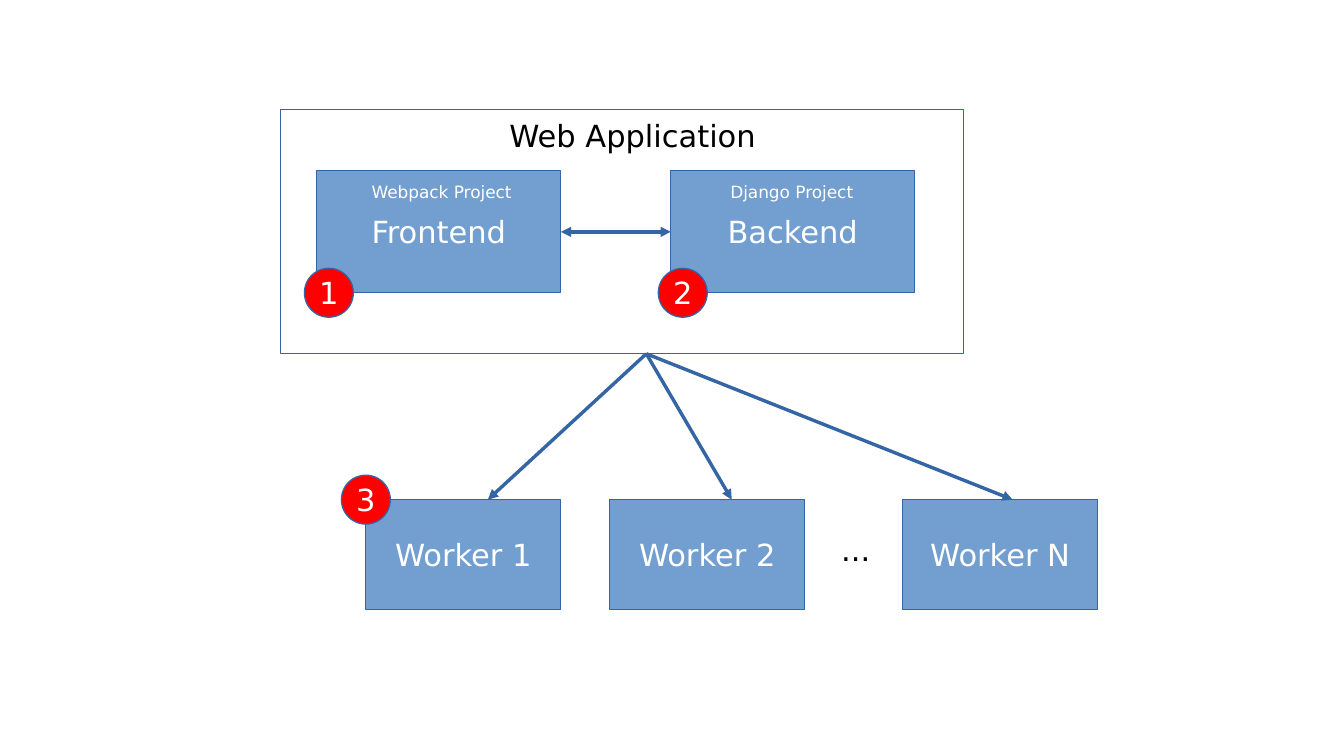
import pptx
import pptx.util
import pptx.dml.color
import pptx.enum.shapes
import pptx.enum.text
import pptx.oxml.ns
from lxml import etree

Cm = pptx.util.Cm
Pt = pptx.util.Pt
Shape = pptx.enum.shapes.MSO_SHAPE
Anchor = pptx.enum.text.MSO_ANCHOR
Align = pptx.enum.text.PP_ALIGN
AutoSize = pptx.enum.text.MSO_AUTO_SIZE

COLORS = {
    "paper": "FFFFFF",
    "box": "729FCF",
    "outline": "3465A4",
    "badge": "FF0000",
    "ink": "000000",
}
FONT = "DejaVu Sans"
BADGE_SIZE = 1.02


def color(name):
    return pptx.dml.color.RGBColor.from_string(COLORS[name])


def write(frame, words, size, ink, align):
    paragraph = frame.paragraphs[0]
    paragraph.alignment = align
    run = paragraph.add_run()
    run.text = words
    run.font.size = Pt(size)
    run.font.name = FONT
    run.font.color.rgb = color(ink)


def add_figure(slide, kind, box, fill, words=""):
    figure = slide.shapes.add_shape(kind, *map(Cm, box))
    figure.shadow.inherit = False
    figure.fill.solid()
    figure.fill.fore_color.rgb = color(fill)
    figure.line.color.rgb = color("outline")
    figure.line.width = Pt(0)
    if words:
        figure.text_frame.word_wrap = False
        figure.text_frame.vertical_anchor = Anchor.MIDDLE
        write(figure.text_frame, words, 18, "paper", Align.CENTER)


def add_label(slide, box, words, size, ink, wrap=False):
    frame = slide.shapes.add_textbox(*map(Cm, box)).text_frame
    frame.word_wrap = wrap
    frame.auto_size = AutoSize.SHAPE_TO_FIT_TEXT
    write(frame, words, size, ink, Align.LEFT)


def add_badge(slide, center_x, center_y, number):
    half = BADGE_SIZE / 2
    box = (center_x - half, center_y - half, BADGE_SIZE, BADGE_SIZE)
    add_figure(slide, Shape.OVAL, box, "badge", number)


def add_arrow(slide, start, end, ends=("tailEnd",)):
    arrow = slide.shapes.add_connector(
        pptx.enum.shapes.MSO_CONNECTOR.STRAIGHT, *map(Cm, start + end))
    arrow.line.color.rgb = color("outline")
    arrow.line.width = Pt(0)
    qn = pptx.oxml.ns.qn
    line = arrow.line._get_or_add_ln()
    for tag in ends:
        etree.SubElement(line, qn("a:" + tag), type="triangle")
    etree.SubElement(arrow._element.spPr, qn("a:effectLst"))


def draw_web_application(slide, box):
    left, top, width, height = box
    tier_width, tier_height, tier_step = 5.08, 2.54, 7.37
    tier_left, tier_top = left + 0.76, top + 1.27
    tiers = [
        ("Frontend", "Webpack Project", 0.89, 3.43),
        ("Backend", "Django Project", 0.99, 3.07),
    ]
    add_figure(slide, Shape.RECTANGLE, box, "paper")
    add_label(slide, (left + 4.52, top + 0.03, 5.64, 0.99),
              "Web Application", 18, "ink")
    for index, (tier, project, indent, project_width) in enumerate(tiers):
        x = tier_left + index * tier_step
        add_figure(slide, Shape.RECTANGLE, (x, tier_top, tier_width, tier_height),
                   "box", tier)
        add_label(slide, (x + indent, tier_top + 0.1, project_width, 0.66),
                  project, 10, "paper")
        add_badge(slide, x + 0.25, tier_top + tier_height, str(index + 1))
    middle = tier_top + tier_height / 2
    add_arrow(slide, (tier_left + tier_width, middle),
              (tier_left + tier_step, middle), ("headEnd", "tailEnd"))


def draw_workers(slide, box, source):
    left, top, width, height = box
    worker_width = 4.06
    workers = [
        ("Worker 1", left, 2.54),
        ("Worker 2", left + 5.08, 2.54),
        ("Worker N", left + width - worker_width, 2.29),
    ]
    for worker, x, arrow_offset in workers:
        add_figure(slide, Shape.RECTANGLE, (x, top, worker_width, height),
                   "box", worker)
        add_arrow(slide, source, (x + arrow_offset, top))
    add_label(slide, (left + 9.65, top + 0.53, 1.52, 0.99), "...", 18, "ink", True)
    add_badge(slide, left, top, "3")


def main():
    deck = pptx.Presentation()
    deck.slide_width, deck.slide_height = Cm(27.99), Cm(15.75)
    slide = deck.slides.add_slide(deck.slide_layouts[6])
    slide.background.fill.solid()
    slide.background.fill.fore_color.rgb = color("paper")
    draw_web_application(slide, (5.84, 2.29, 14.22, 5.08))
    draw_workers(slide, (7.62, 10.41, 15.24, 2.29), (13.46, 7.37))
    deck.save("out.pptx")


if __name__ == "__main__":
    main()
